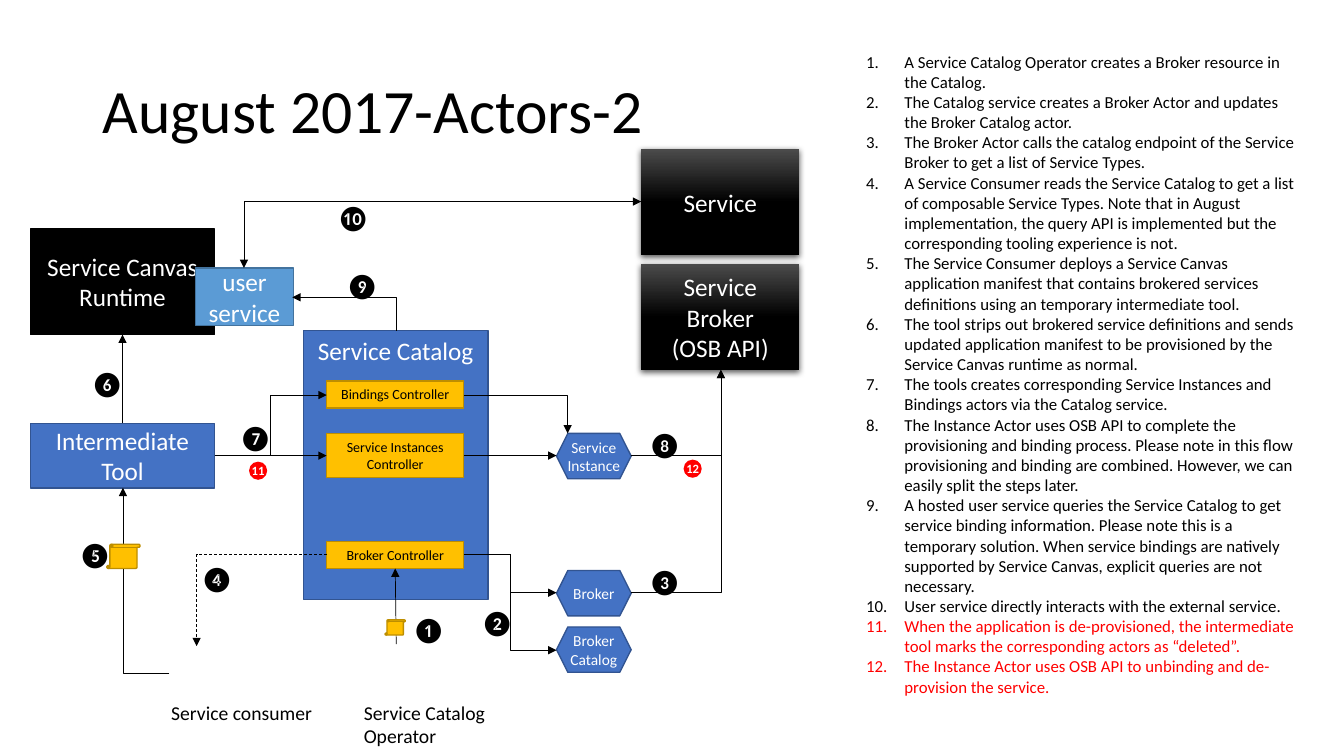
from lxml import etree
from pptx import Presentation
from pptx import util as u
from pptx.dml.color import RGBColor
from pptx.enum import dml, shapes, text
from pptx.oxml.ns import qn

FONT = "Calibri"
BLUE, NAVY = "4472C4", "325491"
GOLD, BROWN = "FFC000", "BD8E00"
BLACK, WHITE, RED = "000000", "FFFFFF", "FF0000"
RECT = shapes.MSO_SHAPE.RECTANGLE
HEXAGON = shapes.MSO_SHAPE.HEXAGON
SCROLL = shapes.MSO_SHAPE.VERTICAL_SCROLL
OVAL = shapes.MSO_SHAPE.OVAL
STRAIGHT = shapes.MSO_CONNECTOR.STRAIGHT
ELBOW = shapes.MSO_CONNECTOR.ELBOW
CENTER, LEFT = text.PP_ALIGN.CENTER, text.PP_ALIGN.LEFT
MIDDLE, TOP = text.MSO_ANCHOR.MIDDLE, text.MSO_ANCHOR.TOP

STEPS = [
    "A Service Catalog Operator creates a Broker resource in the Catalog.",
    "The Catalog service creates a Broker Actor and updates the Broker Catalog actor.",
    "The Broker Actor calls the catalog endpoint of the Service Broker to get a list of Service Types.",
    "A Service Consumer reads the Service Catalog to get a list of composable Service Types. "
    "Note that in August implementation, the query API is implemented but the corresponding "
    "tooling experience is not.",
    "The Service Consumer deploys a Service Canvas application manifest that contains brokered "
    "services definitions using an temporary intermediate tool.",
    "The tool strips out brokered service definitions and sends updated application manifest "
    "to be provisioned by the Service Canvas runtime as normal.",
    "The tools creates corresponding Service Instances and Bindings actors via the Catalog service.",
    "The Instance Actor uses OSB API to complete the provisioning and binding process. Please note "
    "in this flow provisioning and binding are combined. However, we can easily split the steps later.",
    "A hosted user service queries the Service Catalog to get service binding information. Please "
    "note this is a temporary solution. When service bindings are natively supported by "
    "Service Canvas, explicit queries are not necessary.",
    "User service directly interacts with the external service.",
    "When the application is de-provisioned, the intermediate tool marks the corresponding "
    "actors as “deleted”.",
    "The Instance Actor uses OSB API to unbinding and de-provision the service.",
]
FIRST_RED_STEP = 10

MARKERS = [("❶", 3.99, 6.05), ("❷", 4.67, 5.98), ("❸", 6.33, 5.57), ("❹", 1.89, 5.54),
           ("❺", 0.68, 5.3), ("❻", 0.8, 3.6), ("❼", 2.27, 4.14), ("❽", 6.33, 4.21),
           ("❾", 3.33, 2.63), ("❿", 3.24, 1.96)]


def rgb(color):
    return RGBColor.from_string(color)


def place(sp, x, y, w, h):
    sp.left, sp.top, sp.width, sp.height = map(u.Inches, (x, y, w, h))


def write(p, words, size, color, align=LEFT, bold=False):
    p.alignment = align
    r = p.add_run()
    r.text = words
    r.font.name, r.font.size, r.font.bold = FONT, u.Pt(size), bold
    r.font.color.rgb = rgb(color)


def add_box(s, kind, at, words="", fill=BLUE, line=NAVY, size=18, color=WHITE,
            anchor=MIDDLE, inset=None, bold=False):
    sp = s.shapes.add_shape(kind, *map(u.Inches, at))
    sp.shadow.inherit = False
    sp.fill.solid()
    sp.fill.fore_color.rgb = rgb(fill)
    if line:
        sp.line.color.rgb = rgb(line)
        sp.line.width = u.Pt(1)
    else:
        sp.line.fill.background()
    tf = sp.text_frame
    tf.word_wrap = True
    tf.vertical_anchor = anchor
    if inset is not None:
        tf.margin_left = tf.margin_top = tf.margin_right = tf.margin_bottom = u.Inches(inset)
    for i, paragraph in enumerate(words.split("\n") if words else []):
        p = tf.add_paragraph() if i else tf.paragraphs[0]
        write(p, paragraph, size, color, CENTER, bold)
    return sp


def add_external(s, y, words):
    sp = add_box(s, RECT, (6.36, y, 1.57, 1.05), words, line=None)
    sp.fill.gradient()
    sp.fill.gradient_angle = 270
    for stop, position, color in zip(sp.fill.gradient_stops, (0, 0.5), ("4B4B4B", BLACK)):
        stop.position = position
        stop.color.rgb = rgb(color)
    effects = sp._element.spPr.find(qn("a:effectLst"))
    shadow = etree.SubElement(effects, qn("a:outerShdw"), blurRad=str(u.Pt(4.5)),
                              dist=str(u.Pt(1.5)), dir="5400000", rotWithShape="0")
    tint = etree.SubElement(shadow, qn("a:srgbClr"), val=BLACK)
    etree.SubElement(tint, qn("a:alpha"), val="63000")


def add_controller(s, y, h, words):
    return add_box(s, RECT, (3.24, y, 1.36, h), words, GOLD, BROWN, 10, BLACK, TOP)


def add_actor(s, y, words):
    add_box(s, HEXAGON, (5.52, y, 0.74, 0.45), words, size=11, inset=0)


def add_badge(s, x, y, words):
    add_box(s, OVAL, (x, y, 0.18, 0.18), words, RED, None, 9, inset=0, bold=True)


def add_label(s, at, words, size, wrap=True):
    tf = s.shapes.add_textbox(*map(u.Inches, at)).text_frame
    tf.word_wrap = wrap
    write(tf.paragraphs[0], words, size, BLACK)


def add_arrow(s, kind, start, end, ends=("tail",), dashed=False):
    c = s.shapes.add_connector(kind, *map(u.Inches, start + end))
    c.line.color.rgb = rgb(BLACK)
    c.line.width = u.Pt(0.5)
    if dashed:
        c.line.dash_style = dml.MSO_LINE.DASH
    ln = c.line._get_or_add_ln()
    for name in ends:
        etree.SubElement(ln, qn(f"a:{name}End"), type="triangle")
    etree.SubElement(c._element.spPr, qn("a:effectLst"))
    return c


def add_corner(s, start, end, ends=("tail",), dashed=False):
    c = add_arrow(s, ELBOW, start, end, ends, dashed)
    c._element.spPr.find(qn("a:prstGeom")).set("prst", "bentConnector2")


def fill_title(sp):
    place(sp, 0.92, 0.4, 11.5, 1.45)
    sp.text_frame.vertical_anchor = MIDDLE
    p = sp.text_frame.paragraphs[0]
    p.line_spacing = 0.9
    write(p, "August 2017-Actors-2", 44, BLACK)


def fill_steps(sp):
    place(sp, 8.49, 0.46, 4.49, 7.17)
    tf = sp.text_frame
    tf.auto_size = text.MSO_AUTO_SIZE.NONE
    tf.vertical_anchor = TOP
    for i, step in enumerate(STEPS):
        p = tf.add_paragraph() if i else tf.paragraphs[0]
        write(p, step, 12, RED if i >= FIRST_RED_STEP else BLACK)
        p.space_before = u.Pt(0)
        pPr = p._p.get_or_add_pPr()
        pPr.set("marL", str(u.Inches(0.38)))
        pPr.set("indent", str(u.Inches(-0.38)))
        etree.SubElement(pPr, qn("a:buFont"), typeface="+mj-lt")
        etree.SubElement(pPr, qn("a:buAutoNum"), type="arabicPeriod")


def main():
    prs = Presentation()
    prs.slide_width, prs.slide_height = u.Inches(13.33), u.Inches(7.5)
    s = prs.slides.add_slide(prs.slide_layouts[1])
    fill_title(s.shapes.title)
    fill_steps(s.placeholders[1])

    add_external(s, 1.48, "Service")
    add_external(s, 2.62, "Service Broker\n(OSB API)")
    add_box(s, RECT, (3.01, 3.28, 1.83, 2.67), "Service Catalog", anchor=TOP)
    add_controller(s, 3.78, 0.27, "Bindings Controller")
    instances = add_controller(s, 4.3, 0.44, "Service Instances Controller")
    broker = add_controller(s, 5.37, 0.27, "Broker Controller")
    runtime = add_box(s, RECT, (0.3, 2.27, 1.83, 1.05), "Service Canvas Runtime", BLACK, BLACK)
    tool = add_box(s, RECT, (0.3, 4.2, 1.83, 0.64), "Intermediate Tool")
    add_box(s, RECT, (1.94, 2.66, 0.97, 0.57), "user service", "5B9BD5", "43739E")
    for y, words in ((4.3, "Service Instance"), (5.66, "Broker"), (6.22, "Broker Catalog")):
        add_actor(s, y, words)

    operator = add_arrow(s, STRAIGHT, (3.93, 6.39), (3.92, 5.64))
    operator.end_connect(broker, 2)
    provision = add_arrow(s, STRAIGHT, (1.22, 3.32), (1.22, 4.2), ("head",))
    provision.begin_connect(runtime, 2)
    provision.end_connect(tool, 0)
    create = add_arrow(s, STRAIGHT, (2.13, 4.52), (3.24, 4.52))
    create.begin_connect(tool, 3)
    create.end_connect(instances, 1)
    instance = add_arrow(s, STRAIGHT, (4.6, 4.52), (5.52, 4.52))
    instance.begin_connect(instances, 3)

    add_arrow(s, ELBOW, (2.13, 4.52), (3.24, 3.92))
    for y in (5.88, 6.45):
        add_arrow(s, ELBOW, (4.6, 5.5), (5.52, y))
    for y in (4.52, 5.88):
        add_corner(s, (6.26, y), (7.15, 3.67))
    add_corner(s, (3.24, 5.5), (1.95, 6.41), dashed=True)
    add_corner(s, (1.68, 6.68), (1.22, 4.84))
    add_corner(s, (4.6, 3.92), (5.63, 4.3))
    add_corner(s, (2.9, 2.95), (3.93, 3.28), ("head",))
    add_corner(s, (6.36, 2), (2.42, 2.66), ("head", "tail"))

    for at in ((1.06, 5.4, 0.33, 0.24), (3.82, 6.15, 0.2, 0.15)):
        add_box(s, SCROLL, at, fill=GOLD, line=BROWN)
    for number, x, y in MARKERS:
        add_label(s, (x, y, 0.43, 0.4), number, 18, wrap=False)
    add_badge(s, 2.47, 4.58, "11")
    add_badge(s, 6.78, 4.56, "12")
    add_label(s, (1.6, 6.9, 1.67, 0.34), "Service consumer", 14)
    add_label(s, (3.51, 6.9, 1.67, 0.57), "Service Catalog Operator", 14)
    prs.save("out.pptx")


if __name__ == "__main__":
    main()
